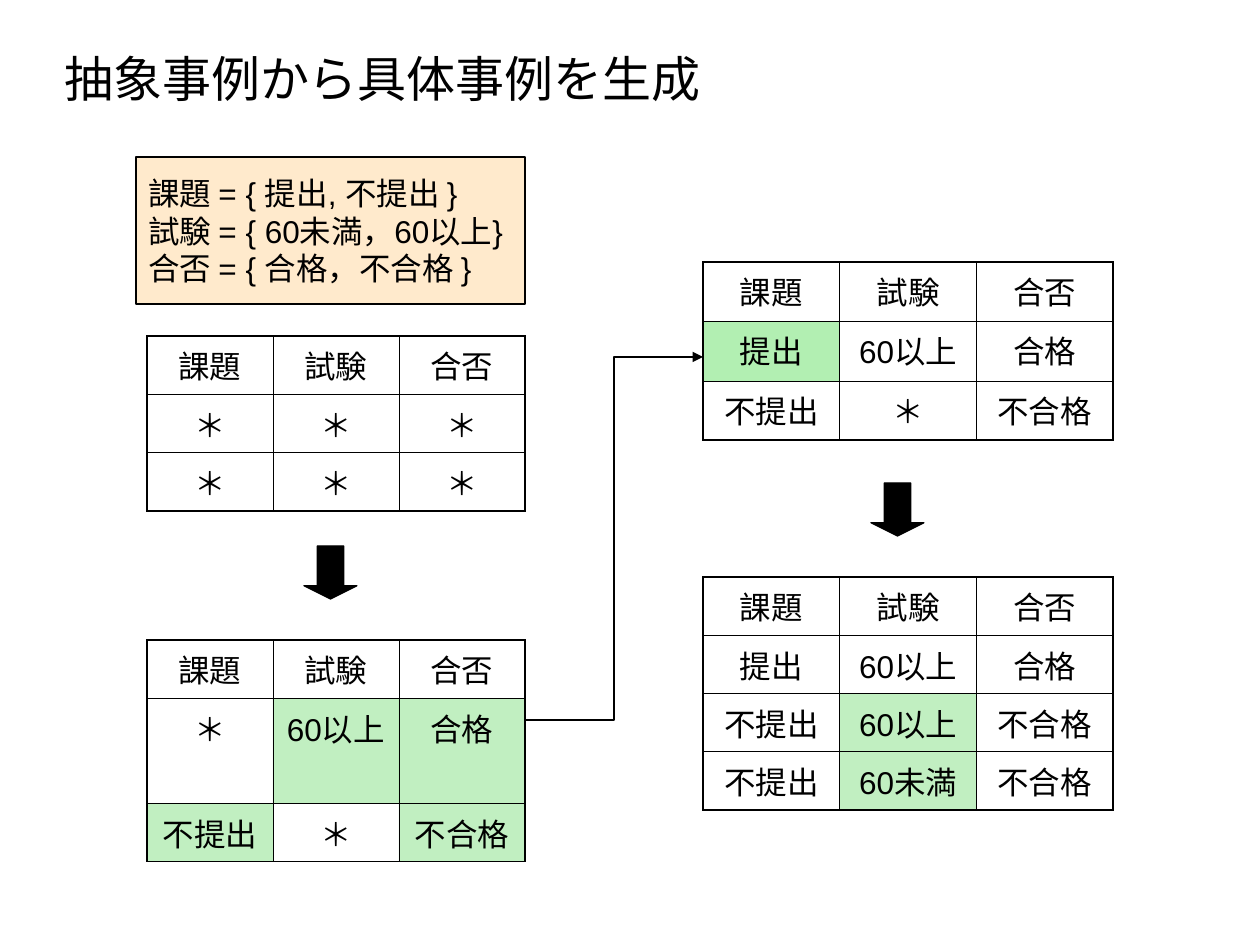
import pptx
import pptx.dml.color
import pptx.enum.shapes
import pptx.enum.text
import pptx.oxml
import pptx.oxml.ns
import pptx.util

SCALE = 914400 / 126  # EMU per px
FONT = "Arial"
BLACK = pptx.dml.color.RGBColor(0x00, 0x00, 0x00)
GREEN = pptx.dml.color.RGBColor(0x33, 0xCC, 0x33)
BRIGHT_GREEN = pptx.dml.color.RGBColor(0x00, 0xCC, 0x00)
ORANGE = pptx.dml.color.RGBColor(0xFF, 0x99, 0x00)
OUTER_BORDER, INNER_BORDER = 1.08, 0.45

TITLE = "抽象事例から具体事例を生成"
DOMAINS = [
    "課題 = { 提出, 不提出 }",
    "試験 = { 60未満，60以上}",
    "合否 = { 合格，不合格 }",
]
HEADER = ["課題", "試験", "合否"]
# Highlights are (row, column) pairs.
TABLES = [
    {"left": 147, "top": 336, "width": 378, "row_heights": [58, 58, 58],
     "body": [["＊", "＊", "＊"], ["＊", "＊", "＊"]],
     "highlights": [], "color": GREEN},
    {"left": 147, "top": 640, "width": 378, "row_heights": [58, 105, 58],
     "body": [["＊", "60以上", "合格"], ["不提出", "＊", "不合格"]],
     "highlights": [(1, 1), (1, 2), (2, 0), (2, 2)], "color": GREEN},
    {"left": 703, "top": 262, "width": 410, "row_heights": [59, 60, 59],
     "body": [["提出", "60以上", "合格"], ["不提出", "＊", "不合格"]],
     "highlights": [(1, 0)], "color": BRIGHT_GREEN},
    {"left": 703, "top": 577, "width": 410, "row_heights": [58, 58, 58, 58],
     "body": [["提出", "60以上", "合格"], ["不提出", "60以上", "不合格"],
              ["不提出", "60未満", "不合格"]],
     "highlights": [(2, 1), (3, 1)], "color": GREEN},
]
DOWN_ARROWS = [(304, 546), (871, 483)]
DOWN_ARROW_SIZE = 53
LINK_START, LINK_END = (525, 720), (703, 357)


def px(length):
    return pptx.util.Emu(round(length * SCALE))


def set_font(paragraph, size):
    paragraph.font.name = FONT
    paragraph.font.size = pptx.util.Pt(size)
    paragraph.font.color.rgb = BLACK


def fill_solid(fill, color, owner, opacity):
    """Fill with a colour; owner is the XML element that holds the fill."""
    fill.solid()
    fill.fore_color.rgb = color
    color_element = owner.find(pptx.oxml.ns.qn("a:solidFill"))[0]
    color_element.append(pptx.oxml.parse_xml(
        f'<a:alpha {pptx.oxml.ns.nsdecls("a")} val="{opacity * 1000}"/>'))


def set_borders(cell_properties, widths):
    for side, width in widths.items():
        cell_properties.append(pptx.oxml.parse_xml(
            f'<a:ln{side} {pptx.oxml.ns.nsdecls("a")} w="{pptx.util.Pt(width)}">'
            f'<a:solidFill><a:srgbClr val="{BLACK}"/></a:solidFill></a:ln{side}>'))


def add_case_table(slide, case):
    rows = [HEADER] + case["body"]
    last_row, last_column = len(rows) - 1, len(HEADER) - 1
    table = slide.shapes.add_table(
        len(rows), len(HEADER), px(case["left"]), px(case["top"]),
        px(case["width"]), px(sum(case["row_heights"]))).table
    table.first_row = table.horz_banding = False
    for column in table.columns:
        column.width = px(case["width"] / len(HEADER))
    for row, height in zip(table.rows, case["row_heights"]):
        row.height = px(height)

    for i, texts in enumerate(rows):
        for j, text in enumerate(texts):
            cell = table.cell(i, j)
            cell.text = text
            paragraph = cell.text_frame.paragraphs[0]
            paragraph.alignment = pptx.enum.text.PP_ALIGN.CENTER
            paragraph.space_before = pptx.util.Pt(4.5)
            set_font(paragraph, 18)
            on_edge = {"L": j == 0, "R": j == last_column,
                       "T": i == 0, "B": i == last_row}
            cell_properties = cell._tc.get_or_add_tcPr()
            set_borders(cell_properties, {
                side: OUTER_BORDER if edge else INNER_BORDER
                for side, edge in on_edge.items()})
            if (i, j) in case["highlights"]:
                fill_solid(cell.fill, case["color"], cell_properties, 30)
            else:
                cell.fill.background()


def add_outlined_shape(slide, kind, left, top, width, height):
    shape = slide.shapes.add_shape(kind, px(left), px(top), px(width), px(height))
    shape.shadow.inherit = False
    shape.line.color.rgb = BLACK
    shape.line.width = pptx.util.Pt(0.75)
    return shape


def add_down_arrow(slide, left, top):
    arrow = add_outlined_shape(slide, pptx.enum.shapes.MSO_SHAPE.DOWN_ARROW,
                               left, top, DOWN_ARROW_SIZE, DOWN_ARROW_SIZE)
    arrow.adjustments[0] = 0.5
    arrow.adjustments[1] = 0.25
    arrow.fill.solid()
    arrow.fill.fore_color.rgb = BLACK


def add_link(slide):
    link = slide.shapes.add_connector(
        pptx.enum.shapes.MSO_CONNECTOR.ELBOW,
        *map(px, LINK_START), *map(px, LINK_END))
    link.line.color.rgb = BLACK
    link.line.width = pptx.util.Pt(0.75)
    namespace = pptx.oxml.ns.nsdecls("a")
    link.line._get_or_add_ln().append(
        pptx.oxml.parse_xml(f'<a:tailEnd {namespace} type="triangle"/>'))
    link._element.spPr.append(pptx.oxml.parse_xml(f"<a:effectLst {namespace}/>"))


def add_domain_box(slide):
    box = add_outlined_shape(slide, pptx.enum.shapes.MSO_SHAPE.RECTANGLE,
                             136, 157, 389, 147)
    fill_solid(box.fill, ORANGE, box._element.spPr, 20)
    frame = box.text_frame
    frame.word_wrap = False
    frame.vertical_anchor = pptx.enum.text.MSO_ANCHOR.MIDDLE
    frame.text = "\n".join(DOMAINS)
    for paragraph in frame.paragraphs:
        paragraph.alignment = pptx.enum.text.PP_ALIGN.LEFT
        set_font(paragraph, 18)


def add_title(slide):
    frame = slide.shapes.add_textbox(px(52), px(42), px(829), px(72)).text_frame
    frame.word_wrap = True
    frame.auto_size = pptx.enum.text.MSO_AUTO_SIZE.SHAPE_TO_FIT_TEXT
    frame.text = TITLE
    paragraph = frame.paragraphs[0]
    paragraph.space_before = pptx.util.Pt(17.5)
    set_font(paragraph, 28)


def main():
    presentation = pptx.Presentation()
    presentation.slide_width = px(1260)
    presentation.slide_height = px(945)
    slide = presentation.slides.add_slide(presentation.slide_layouts[6])
    for case in TABLES:
        add_case_table(slide, case)
    for left, top in DOWN_ARROWS:
        add_down_arrow(slide, left, top)
    add_link(slide)
    add_domain_box(slide)
    add_title(slide)
    presentation.save("out.pptx")


if __name__ == "__main__":
    main()
